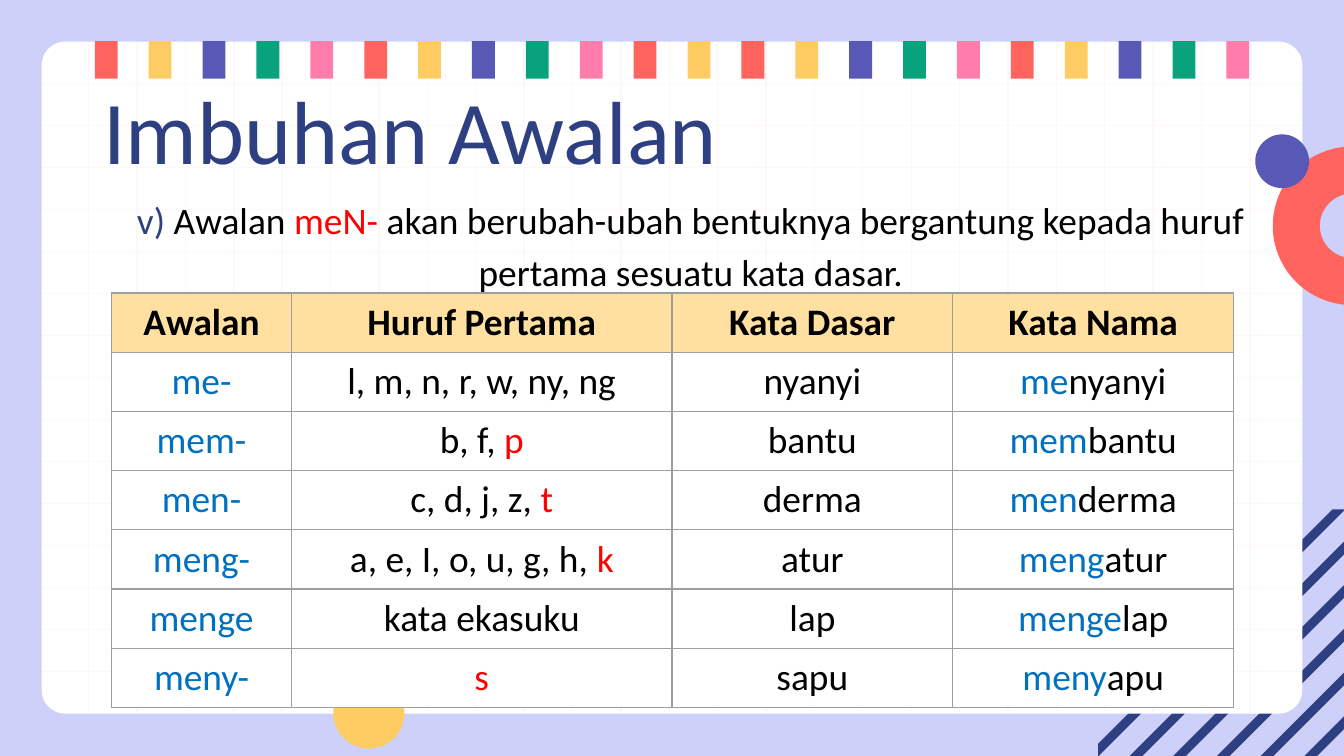
from math import cos, pi, sin

from lxml import etree
from pptx import Presentation
from pptx.dml.color import RGBColor
from pptx.enum.shapes import MSO_CONNECTOR, MSO_SHAPE
from pptx.enum.text import MSO_ANCHOR, MSO_AUTO_SIZE, PP_ALIGN
from pptx.oxml import parse_xml
from pptx.oxml.ns import nsdecls, qn
from pptx.util import Inches, Pt

CENTER = PP_ALIGN.CENTER
LEFT = PP_ALIGN.LEFT
TOP = MSO_ANCHOR.TOP
NO_AUTOFIT = MSO_AUTO_SIZE.NONE
STRAIGHT = MSO_CONNECTOR.STRAIGHT
RECTANGLE = MSO_SHAPE.RECTANGLE
ROUNDED = MSO_SHAPE.ROUNDED_RECTANGLE
OVAL = MSO_SHAPE.OVAL

COLORS = {
    "background": "CDD1F9", "navy": "2E4081", "white": "FFFFFF", "grid": "FFF7F7",
    "coral": "FF645E", "yellow": "FFCC63", "indigo": "5859B6", "green": "08A37C",
    "pink": "FF7DAB", "black": "000000", "red": "FF0000", "blue": "0070C0",
    "header": "FFE0A1", "border": "9E9E9E",
}
RGB = {name: RGBColor.from_string(value) for name, value in COLORS.items()}


def paint(shape, color):
    shape.shadow.inherit = False
    shape.fill.solid()
    shape.fill.fore_color.rgb = RGB[color]
    shape.line.fill.background()


def write_runs(paragraph, runs, size, bold=False):
    for text, color in runs:
        run = paragraph.add_run()
        run.text = text
        for name, value in {"name": "Calibri", "size": Pt(size), "bold": bold}.items():
            setattr(run.font, name, value)
        run.font.color.rgb = RGB[color]


presentation = Presentation()
presentation.slide_width = Inches(10)
presentation.slide_height = Inches(10) * 9 // 16
slide = presentation.slides.add_slide(presentation.slide_layouts[0])
slide.background.fill.solid()
slide.background.fill.fore_color.rgb = RGB["background"]
shapes = slide.shapes

outlines = []
bottom = 10 * 9 / 16
for index in range(7):
    near = 15.33 - 0.325 * index
    far = near + 0.095
    if near > 13.79:
        points = [(10, near - 10), (near - bottom, bottom), (far - bottom, bottom), (10, far - 10)]
    elif far > 13.79:
        points = [(near - 3.79, 3.79), (8.17, near - 8.17), (8.17, bottom),
                  (far - bottom, bottom), (10, far - 10), (10, 3.79)]
    else:
        points = [(near - 3.79, 3.79), (8.17, near - 8.17), (8.17, far - 8.17), (far - 3.79, 3.79)]
    outlines.append((points, "navy"))

angles = [pi / 2 + pi * step / 40 for step in range(41)]
outer = [(10.06 + 0.59 * cos(angle), 1.68 + 0.59 * sin(angle)) for angle in angles]
inner = [(10.06 + 0.24 * cos(angle), 1.68 + 0.24 * sin(angle)) for angle in reversed(angles)]
outlines.append((outer + inner, "coral"))

for points, color in outlines:
    corners = [(Inches(x), Inches(y)) for x, y in points]
    builder = shapes.build_freeform(*corners[0])
    builder.add_line_segments(corners[1:])
    freeform = builder.convert_to_shape()
    paint(freeform, color)
ring = freeform

card = shapes.add_shape(ROUNDED, Inches(0.31), Inches(0.31), Inches(9.38), Inches(5))
card.adjustments[0] = 0.035
paint(card, "white")

grid_lines = [(0.31, 0.31 + 5 / 16 * row, 9.69, 0.31 + 5 / 16 * row) for row in range(1, 16)]
grid_lines += [(0.3 + 0.36 * column, 0.31, 0.3 + 0.36 * column, 5.31) for column in range(1, 26)]
for ends in grid_lines:
    line = shapes.add_connector(STRAIGHT, *[Inches(value) for value in ends])
    line.line.color.rgb = RGB["grid"]
    line.line.width = Pt(0.75)
    etree.SubElement(line.element.spPr, qn("a:effectLst"))

cycle = ["coral", "yellow", "indigo", "green", "pink"]
for index, color in enumerate(cycle * 2 + cycle[:2] + cycle * 2):
    left = 0.65 + 8.42 / 21 * index
    bar = shapes.add_shape(RECTANGLE, Inches(left), Inches(0.36), Inches(0.28), Inches(0.17))
    bar.rotation = 90
    paint(bar, color)

shapes.element.append(ring.element)
for left, top, size, color in [(2.48, 5.04, 0.53, "yellow"), (9.34, 1, 0.4, "indigo")]:
    circle = shapes.add_shape(OVAL, Inches(left), Inches(top), Inches(size), Inches(size))
    paint(circle, color)

title, subtitle = shapes.title, slide.placeholders[1]
subtitle_runs = [
    ("v) ", "navy"), ("Awalan ", "black"), ("meN- ", "red"),
    ("akan berubah-ubah bentuknya bergantung kepada huruf pertama sesuatu kata dasar.", "black"),
]
for placeholder, box, runs, size, alignment, spacing, indent in [
    (title, (0.67, 0.46, 8.43, 0.78), [("Imbuhan Awalan", "navy")], 48, LEFT, 1.0, 0),
    (subtitle, (0.59, 1.32, 8.95, 3.54), subtitle_runs, 20, CENTER, 1.15, 0.15),
]:
    shapes.element.append(placeholder.element)
    for name, value in zip(("left", "top", "width", "height"), box):
        setattr(placeholder, name, Inches(value))
    frame = placeholder.text_frame
    frame_format = {"word_wrap": True, "auto_size": NO_AUTOFIT, "vertical_anchor": TOP}
    for side in ("left", "top", "right", "bottom"):
        frame_format["margin_" + side] = Inches(0.1)
    for name, value in frame_format.items():
        setattr(frame, name, value)
    paragraph = frame.paragraphs[0]
    paragraph._p.get_or_add_pPr().set("marL", str(Inches(indent)))
    paragraph_format = {"alignment": alignment, "line_spacing": spacing, "space_before": Pt(0)}
    for name, value in paragraph_format.items():
        setattr(paragraph, name, value)
    write_runs(paragraph, runs, size)

headings = ["Awalan", "Huruf Pertama", "Kata Dasar", "Kata Nama"]
prefixes = [
    ("me-", "l, m, n, r, w, ny, ng", "", "nyanyi", "me", "nyanyi"),
    ("mem-", "b, f, ", "p", "bantu", "mem", "bantu"),
    ("men-", "c, d, j, z, ", "t", "derma", "men", "derma"),
    ("meng-", "a, e, I, o, u, g, h, ", "k", "atur", "meng", "atur"),
    ("menge", "kata ekasuku", "", "lap", "menge", "lap"),
    ("meny-", "", "s", "sapu", "meny", "apu"),
]
rows = [[[(heading, "black")] for heading in headings]]
for prefix, letters, dropped, root, start, rest in prefixes:
    rows.append([[(prefix, "blue")], [(letters, "black"), (dropped, "red")],
                 [(root, "black")], [(start, "blue"), (rest, "black")]])

table = shapes.add_table(7, 4, Inches(0.83), Inches(2.18), Inches(8.35), Inches(3.08)).table
for column, width in zip(table.columns, (1.34, 2.83, 2.09, 2.09)):
    column.width = Inches(width)
for row_index, row in enumerate(rows):
    table.rows[row_index].height = Inches(0.44)
    for column_index, runs in enumerate(row):
        cell = table.cell(row_index, column_index)
        properties = cell._tc.get_or_add_tcPr()
        for side in ("lnL", "lnR", "lnT", "lnB"):
            properties.append(parse_xml(
                f'<a:{side} {nsdecls("a")} w="{Pt(0.75)}"><a:solidFill>'
                f'<a:srgbClr val="{COLORS["border"]}"/></a:solidFill></a:{side}>'))
        cell.fill.solid()
        cell.fill.fore_color.rgb = RGB["header" if row_index == 0 else "white"]
        paragraph = cell.text_frame.paragraphs[0]
        paragraph.alignment = CENTER
        write_runs(paragraph, [run for run in runs if run[0]], 20, row_index == 0)

presentation.save("out.pptx")
